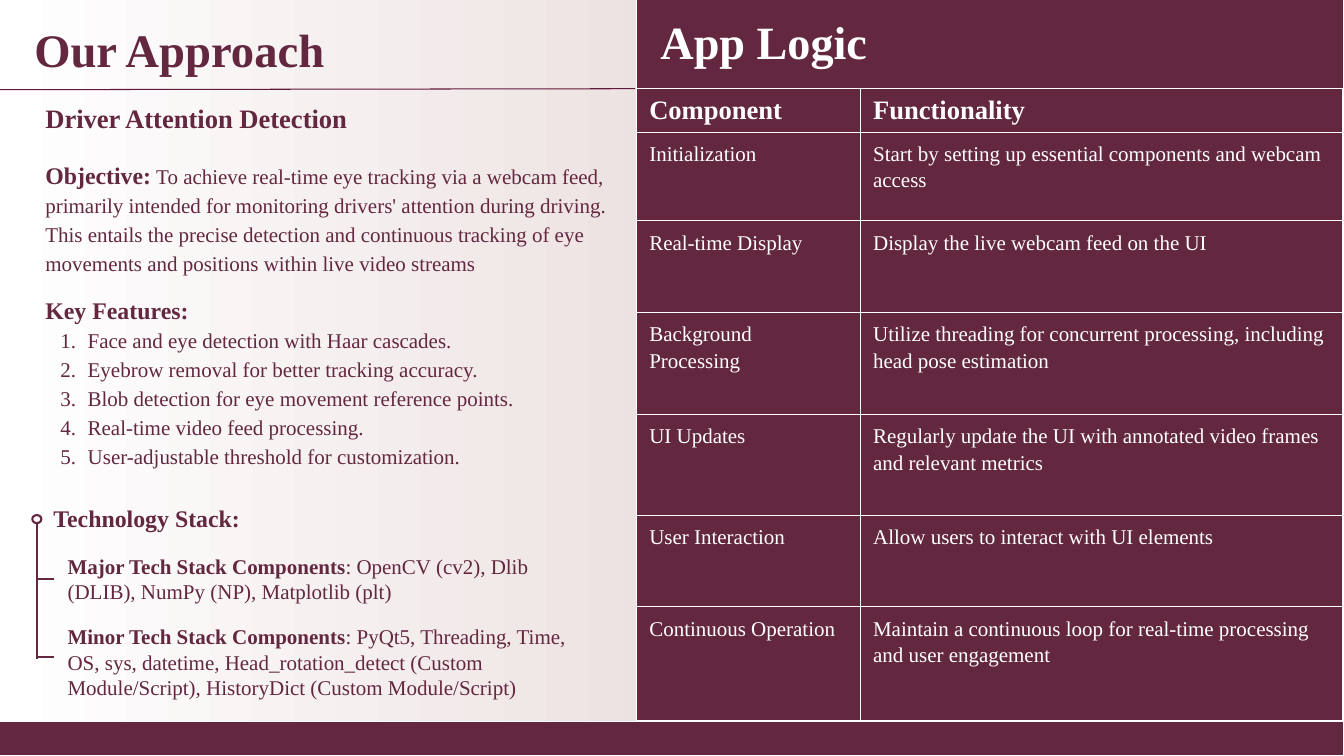
from lxml.etree import SubElement
from pptx import Presentation
from pptx.dml.color import RGBColor
from pptx.enum.shapes import MSO_CONNECTOR as Connector, MSO_SHAPE as Shape
from pptx.enum.text import MSO_ANCHOR as Anchor, MSO_AUTO_SIZE as AutoSize, PP_ALIGN as Align
from pptx.oxml.ns import qn
from pptx.util import Inches, Pt

FONT = "Times New Roman"
COLORS = {"wine": "632740", "rule": "62183A", "white": "FFFFFF", "blush": "D9C0C0"}

TITLE = "Our Approach"
LOGIC_TITLE = "App Logic"
SUBTITLE = "Driver Attention Detection"
OBJECTIVE = (
    "Objective:",
    " To achieve real-time eye tracking via a webcam feed, primarily intended for "
    "monitoring drivers' attention during driving. This entails the precise detection "
    "and continuous tracking of eye movements and positions within live video streams",
)
FEATURES_HEADING = "Key Features:"
FEATURES = [
    "Face and eye detection with Haar cascades.",
    "Eyebrow removal for better tracking accuracy.",
    "Blob detection for eye movement reference points.",
    "Real-time video feed processing.",
    "User-adjustable threshold for customization.",
]
STACK_HEADING = "Technology Stack:"
STACK = [
    (5.32, 0.84, "Major Tech Stack Components",
     ": OpenCV (cv2), Dlib (DLIB), NumPy (NP), Matplotlib (plt)"),
    (6.19, 0.75, "Minor Tech Stack Components",
     ": PyQt5, Threading, Time, OS, sys, datetime, Head_rotation_detect "
     "(Custom Module/Script), HistoryDict (Custom Module/Script)"),
]
LOGIC = [
    (0.43, "Component", "Functionality"),
    (0.88, "Initialization", "Start by setting up essential components and webcam access"),
    (0.91, "Real-time Display", "Display the live webcam feed on the UI"),
    (1.01, "Background Processing",
     "Utilize threading for concurrent processing, including head pose estimation"),
    (1, "UI Updates", "Regularly update the UI with annotated video frames and relevant metrics"),
    (0.91, "User Interaction", "Allow users to interact with UI elements"),
    (1.13, "Continuous Operation",
     "Maintain a continuous loop for real-time processing and user engagement"),
]
COLUMNS = [2.22, 4.79]
STEM_X, STEM_TOP, STEM_BOTTOM = 0.37, 5.19, 6.54
BRANCHES = [5.74, 6.52]
PANEL_LEFT, PANEL_BOTTOM, HEADER_BOTTOM = 6.31, 7.16, 0.88
WIDTH, HEIGHT = 13.33, 7.5


def rgb(name):
    return RGBColor.from_string(COLORS[name])


def add_span(para, text, size, bold=False, color="wine"):
    span = para.add_run()
    span.text = text
    span.font.name = FONT
    span.font.size = Pt(size)
    span.font.bold = bold
    span.font.color.rgb = rgb(color)


def prepare(frame, anchor=Anchor.TOP):
    frame.word_wrap = True
    frame.auto_size = AutoSize.NONE
    frame.vertical_anchor = anchor
    frame.margin_left = frame.margin_right = Inches(0.13)
    frame.margin_top = frame.margin_bottom = Inches(0.13)
    return frame


def add_text(slide, area, anchor=Anchor.TOP):
    box = slide.shapes.add_textbox(*map(Inches, area))
    return prepare(box.text_frame, anchor)


def add_block(slide, kind, area, fill, line, weight):
    block = slide.shapes.add_shape(kind, *map(Inches, area))
    block.shadow.inherit = False
    block.fill.solid()
    block.fill.fore_color.rgb = rgb(fill)
    block.line.color.rgb = rgb(line)
    block.line.width = Pt(weight)


def add_line(slide, ends, color, weight):
    line = slide.shapes.add_connector(Connector.STRAIGHT, *map(Inches, ends))
    line.line.color.rgb = rgb(color)
    line.line.width = Pt(weight)
    SubElement(line._element.spPr, qn("a:effectLst"))


def number(para):
    props = para._p.get_or_add_pPr()
    props.set("marL", str(Inches(0.42)))
    props.set("indent", str(Inches(-0.27)))
    color = SubElement(props, qn("a:buClr"))
    SubElement(color, qn("a:srgbClr"), val=COLORS["wine"])
    SubElement(props, qn("a:buFont"), typeface=FONT)
    SubElement(props, qn("a:buAutoNum"), type="arabicPeriod")


def add_borders(cell):
    props = cell._tc.get_or_add_tcPr()
    for index, side in enumerate(("lnL", "lnR", "lnT", "lnB")):
        line = SubElement(props, qn("a:" + side), w=str(Pt(0.75)))
        fill = SubElement(line, qn("a:solidFill"))
        SubElement(fill, qn("a:srgbClr"), val=COLORS["white"])
        props.remove(line)
        props.insert(index, line)


def add_approach(slide):
    frame = add_text(slide, (0.32, 0.88, 5.86, 6.29))
    add_span(frame.paragraphs[0], SUBTITLE, 19, True)

    para = frame.add_paragraph()
    para.line_spacing, para.space_before = 1.15, Pt(16)
    add_span(para, OBJECTIVE[0], 17, True)
    add_span(para, OBJECTIVE[1], 15)

    para = frame.add_paragraph()
    para.line_spacing, para.space_before = 1.15, Pt(11)
    add_span(para, FEATURES_HEADING, 17, True)

    for feature in FEATURES:
        para = frame.add_paragraph()
        number(para)
        para.line_spacing = 1.15
        add_span(para, feature, 15)


def add_logic_table(slide):
    heights = [row[0] for row in LOGIC]
    area = (PANEL_LEFT, HEADER_BOTTOM, sum(COLUMNS), sum(heights))
    table = slide.shapes.add_table(len(LOGIC), len(COLUMNS), *map(Inches, area)).table
    for column, width in zip(table.columns, COLUMNS):
        column.width = Inches(width)
    for r, (height, *texts) in enumerate(LOGIC):
        table.rows[r].height = Inches(height)
        for c, text in enumerate(texts):
            cell = table.cell(r, c)
            cell.margin_left = cell.margin_right = Inches(0.13)
            cell.margin_top = cell.margin_bottom = Inches(0.07)
            cell.fill.solid()
            cell.fill.fore_color.rgb = rgb("wine")
            add_borders(cell)
            para = cell.text_frame.paragraphs[0]
            if r:
                para.line_spacing = 1.15
            add_span(para, text, 15 if r else 19, r == 0, "white")


def add_stack(slide):
    frame = add_text(slide, (0.4, 4.87, 3.12, 0.56))
    add_span(frame.paragraphs[0], STACK_HEADING, 17, True)
    for top, height, label, detail in STACK:
        para = add_text(slide, (0.54, top, 5.25, height), Anchor.MIDDLE).paragraphs[0]
        add_span(para, label, 15, True)
        add_span(para, detail, 15)
    add_line(slide, (STEM_X, STEM_TOP, STEM_X, STEM_BOTTOM), "wine", 1.5)
    for y in BRANCHES:
        add_line(slide, (0.54, y, STEM_X, y), "wine", 1.5)
    add_block(slide, Shape.OVAL, (0.32, 5.11, 0.09, 0.08), "white", "wine", 1.5)


def main():
    deck = Presentation()
    deck.slide_width, deck.slide_height = Inches(WIDTH), Inches(HEIGHT)
    slide = deck.slides.add_slide(deck.slide_layouts[5])

    backdrop = slide.background.fill
    backdrop.gradient()
    backdrop.gradient_angle = 0
    for stop, color in zip(backdrop.gradient_stops, ("white", "blush")):
        stop.color.rgb = rgb(color)

    title = slide.shapes.title
    title.left, title.top, title.width, title.height = map(Inches, (0.21, 0.08, 3.93, 0.84))
    para = prepare(title.text_frame).paragraphs[0]
    para.alignment = Align.LEFT
    add_span(para, TITLE, 33.3, True)

    add_approach(slide)
    panel = (PANEL_LEFT, 0, WIDTH - PANEL_LEFT, PANEL_BOTTOM)
    add_block(slide, Shape.RECTANGLE, panel, "wine", "white", 0.75)
    add_logic_table(slide)
    heading = add_text(slide, (6.42, 0, 5.38, 0.66))
    add_span(heading.paragraphs[0], LOGIC_TITLE, 33, True, "white")
    add_stack(slide)
    add_line(slide, (0, 0.89, 6.3, HEADER_BOTTOM), "rule", 0.75)
    footer = (0, PANEL_BOTTOM, WIDTH, HEIGHT - PANEL_BOTTOM)
    add_block(slide, Shape.RECTANGLE, footer, "wine", "white", 0.75)
    deck.save("out.pptx")


if __name__ == "__main__":
    main()
